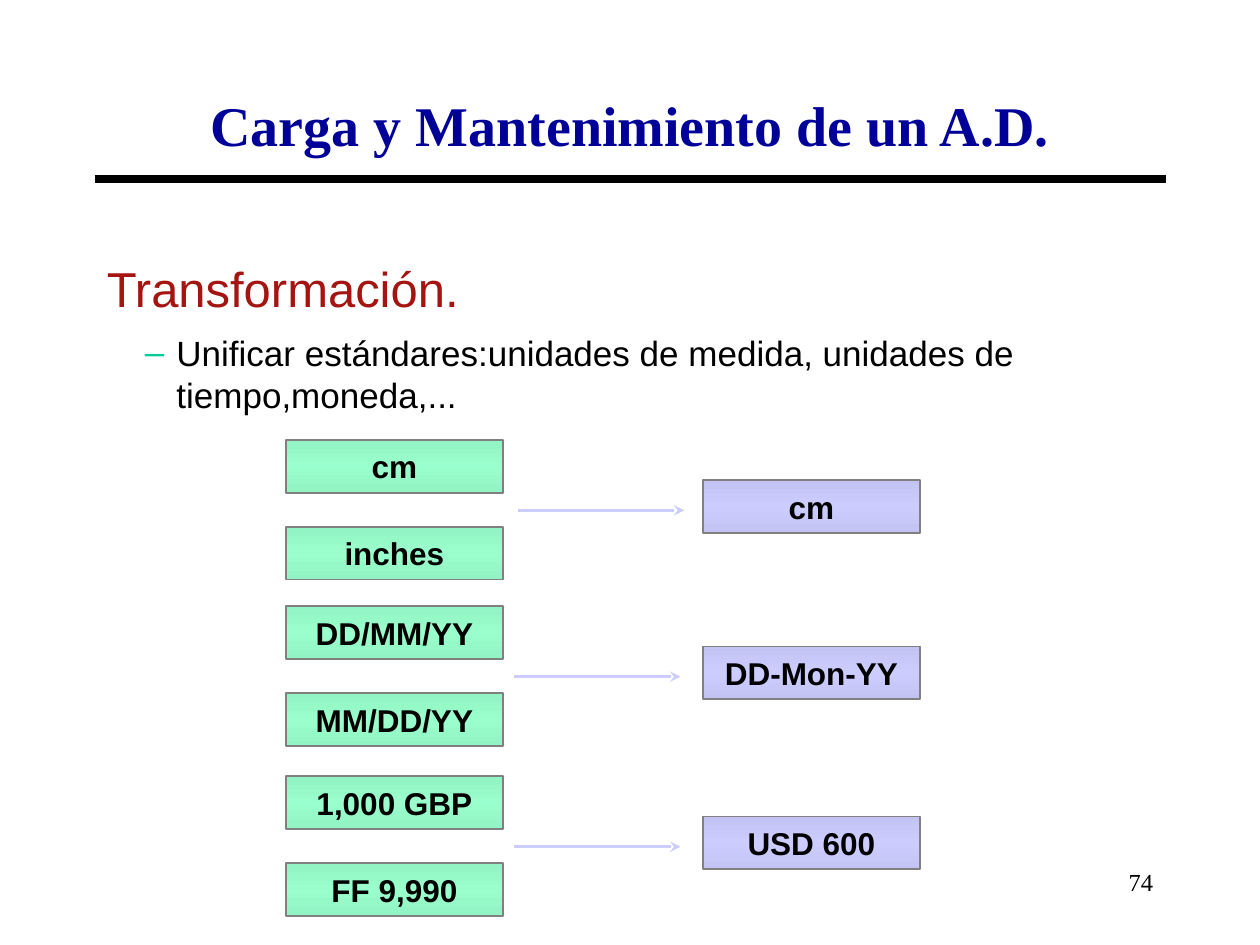
from copy import deepcopy

from lxml import etree
from pptx import Presentation
from pptx.dml.color import RGBColor
from pptx.enum.shapes import MSO_CONNECTOR, MSO_SHAPE
from pptx.enum.text import MSO_ANCHOR, MSO_AUTO_SIZE, PP_ALIGN
from pptx.oxml.ns import qn
from pptx.util import Inches, Pt

STRAIGHT = MSO_CONNECTOR.STRAIGHT
RECTANGLE = MSO_SHAPE.RECTANGLE
TOP, MIDDLE = MSO_ANCHOR.TOP, MSO_ANCHOR.MIDDLE
LEFT, CENTER, RIGHT = PP_ALIGN.LEFT, PP_ALIGN.CENTER, PP_ALIGN.RIGHT

BLACK = RGBColor(0x00, 0x00, 0x00)
NAVY = RGBColor(0x00, 0x00, 0x99)
RED = RGBColor(0xA4, 0x15, 0x12)
GRAY = RGBColor(0x80, 0x80, 0x80)
GREEN = RGBColor(0x99, 0xFF, 0xCC)
DARK_GREEN = RGBColor(0x92, 0xF3, 0xC3)
LILAC = RGBColor(0xCC, 0xCC, 0xFF)
DARK_LILAC = RGBColor(0xC3, 0xC3, 0xF3)
BULLET_GREEN = RGBColor(0x00, 0xCC, 0x99)

TITLE = "Carga y Mantenimiento de un A.D."
HEADING = "Transformación."
BULLET = "Unificar estándares:unidades de medida, unidades de tiempo,moneda,..."
PAGE_NUMBER = "74"
# (top, arrow left, source formats, unified format)
CONVERSIONS = [
    (3.49, 4.11, ("cm", "inches"), "cm"),
    (4.81, 4.08, ("DD/MM/YY", "MM/DD/YY"), "DD-Mon-YY"),
    (6.16, 4.08, ("1,000 GBP", "FF 9,990"), "USD 600"),
]

SOURCE_LEFT, RESULT_LEFT = 2.27, 5.58
BOX_WIDTH, BOX_HEIGHT = 1.72, 0.42
SOURCE_PITCH = 0.69
RESULT_DROP, ARROW_DROP = 0.32, 0.56
ARROW_LENGTH = 1.32


def place(shape, left, top, width, height):
    shape.left, shape.top = Inches(left), Inches(top)
    shape.width, shape.height = Inches(width), Inches(height)


def write(shape, text, size, color, font="Arial", bold=False,
          align=LEFT, anchor=TOP, wrap=True):
    frame = shape.text_frame
    frame.auto_size = MSO_AUTO_SIZE.NONE
    frame.word_wrap = wrap
    frame.vertical_anchor = anchor
    paragraph = frame.paragraphs[0]
    paragraph.alignment = align
    paragraph.space_before = Pt(0)
    span = paragraph.add_run()
    span.text = text
    span.font.name, span.font.size, span.font.bold = font, Pt(size), bold
    span.font.color.rgb = color
    return paragraph


def add_dash_bullet(paragraph):
    properties = paragraph._p.get_or_add_pPr()
    properties.set("marL", str(Inches(0.37)))
    properties.set("indent", str(Inches(-0.25)))
    color = etree.SubElement(properties, qn("a:buClr"))
    etree.SubElement(color, qn("a:srgbClr")).set("val", str(BULLET_GREEN))
    etree.SubElement(properties, qn("a:buChar")).set("char", "–")


def add_line(shapes, left, top, length, color, width):
    line = shapes.add_connector(STRAIGHT, Inches(left), Inches(top),
                                Inches(left + length), Inches(top))
    line.line.color.rgb = color
    line.line.width = Pt(width)
    etree.SubElement(line._element.spPr, qn("a:effectLst"))
    return line


def add_format_box(shapes, left, top, text, edge, center):
    box = shapes.add_shape(RECTANGLE, Inches(left), Inches(top),
                           Inches(BOX_WIDTH), Inches(BOX_HEIGHT))
    box.shadow.inherit = False
    box.fill.gradient()
    box.fill.gradient_angle = 90
    stop_list = box._element.spPr.find(".//" + qn("a:gsLst"))
    stop_list.append(deepcopy(stop_list[0]))
    for stop, position, color in zip(box.fill.gradient_stops, (0, 0.5, 1),
                                     (edge, center, edge)):
        stop.position = position
        stop.color.rgb = color
    box.line.color.rgb = GRAY
    box.line.width = Pt(1)
    write(box, text, 18, BLACK, bold=True, align=CENTER, anchor=MIDDLE,
          wrap=False)


def add_conversion(page, top, arrow_left, sources, result):
    shapes = page.shapes.add_group_shape().shapes
    for index, source in enumerate(sources):
        add_format_box(shapes, SOURCE_LEFT, top + index * SOURCE_PITCH,
                       source, DARK_GREEN, GREEN)
    add_format_box(shapes, RESULT_LEFT, top + RESULT_DROP, result,
                   DARK_LILAC, LILAC)
    arrow = add_line(shapes, arrow_left, top + ARROW_DROP, ARROW_LENGTH,
                     LILAC, 2)
    outline = arrow.line._get_or_add_ln()
    etree.SubElement(outline, qn("a:tailEnd")).set("type", "stealth")


def main():
    deck = Presentation()
    deck.slide_width, deck.slide_height = Inches(10), Inches(7.5)
    page = deck.slides.add_slide(deck.slide_layouts[1])

    add_line(page.shapes, 0.75, 1.42, 8.5, BLACK, 4.5)

    title = page.shapes.title
    place(title, 0.75, 0.67, 8.5, 1.25)
    write(title, TITLE, 32, NAVY, "Times New Roman", True, CENTER)

    heading = page.shapes.add_textbox(Inches(0.75), Inches(2),
                                      Inches(7.98), Inches(0.59))
    write(heading, HEADING, 28, RED)

    body = page.placeholders[1]
    place(body, 0.93, 2.58, 7.69, 0.77)
    paragraph = write(body, BULLET, 20, BLACK)
    paragraph.level = 1
    add_dash_bullet(paragraph)

    for conversion in CONVERSIONS:
        add_conversion(page, *conversion)

    number = page.shapes.add_textbox(Inches(7.17), Inches(6.83),
                                     Inches(2.08), Inches(0.5))
    write(number, PAGE_NUMBER, 14, BLACK, "Times New Roman", align=RIGHT)

    deck.save("out.pptx")


if __name__ == "__main__":
    main()
